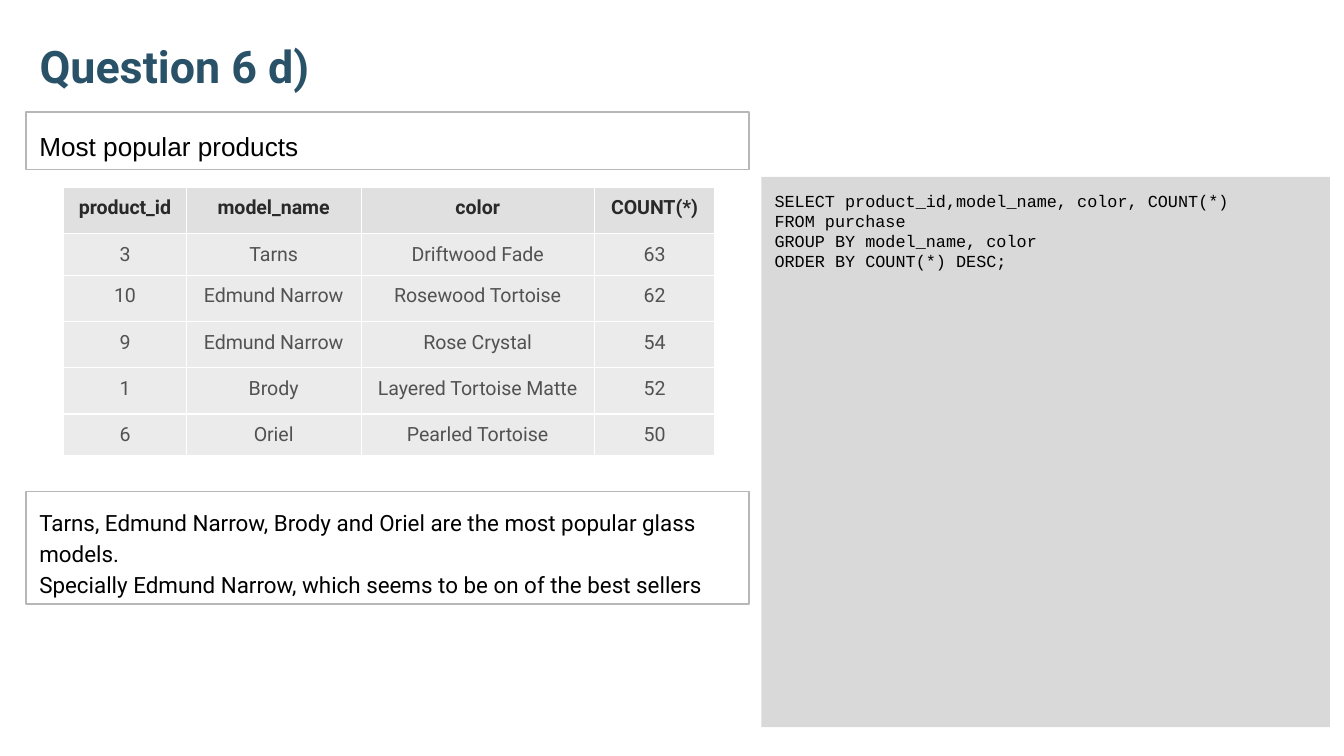
from dataclasses import dataclass
from typing import Any

from lxml import etree
from pptx import Presentation
from pptx.dml.color import RGBColor
from pptx.enum.shapes import MSO_SHAPE
from pptx.enum.text import MSO_ANCHOR, MSO_AUTO_SIZE, PP_ALIGN
from pptx.oxml.ns import qn
from pptx.util import Inches, Pt

RECT = MSO_SHAPE.RECTANGLE
TOP, LOW = MSO_ANCHOR.TOP, MSO_ANCHOR.BOTTOM
LEFT, MID = PP_ALIGN.LEFT, PP_ALIGN.CENTER
FIXED = MSO_AUTO_SIZE.NONE
WIDE = Inches(10)
TALL = WIDE * 9 // 16

HUES = {
    "title": "295269", "code": "D9D9D9", "frame": "B7B7B7", "text": "000000",
    "head": "E0E0E0", "cell": "EBEBEB", "label": "292929", "value": "525252",
    "rule": "FFFFFF",
}


@dataclass
class Area:
    left: float
    top: float
    width: float
    height: float

    def place(self) -> tuple[int, int, int, int]:
        return (across(self.left), down(self.top),
                across(self.width), down(self.height))


@dataclass
class Style:
    font: str
    size: float
    hue: str
    bold: bool = False
    align: Any = LEFT
    space: float = 1.0


@dataclass
class Panel:
    area: Area
    text: str
    style: Style
    fill: str = ""
    line: str = ""


def across(share: float) -> int:
    return round(WIDE * share / 100)


def down(share: float) -> int:
    return round(TALL * share / 100)


def tint(name: str) -> RGBColor:
    return RGBColor.from_string(HUES[name])


def write(frame: Any, text: str, style: Style) -> None:
    frame.text = text
    for para in frame.paragraphs:
        para.alignment = style.align
        para.line_spacing = style.space
        for run in para.runs:
            font = run.font
            font.name, font.size, font.bold = style.font, Pt(style.size), style.bold
            font.color.rgb = tint(style.hue)


def inset(frame: Any, gap: float, anchor: Any) -> None:
    frame.margin_left = frame.margin_right = Inches(gap)
    frame.margin_top = frame.margin_bottom = Inches(gap)
    frame.vertical_anchor = anchor


def draw_title(slide: Any, area: Area, text: str, style: Style) -> None:
    title = slide.shapes.title
    title.left, title.top, title.width, title.height = area.place()
    frame = title.text_frame
    frame.word_wrap = True
    frame.auto_size = FIXED
    inset(frame, 0.1, LOW)
    write(frame, text, style)


def draw_panel(slide: Any, panel: Panel) -> None:
    box = slide.shapes.add_shape(RECT, *panel.area.place())
    box.shadow.inherit = False
    if panel.fill:
        box.fill.solid()
        box.fill.fore_color.rgb = tint(panel.fill)
    else:
        box.fill.background()
    if panel.line:
        box.line.color.rgb = tint(panel.line)
        box.line.width = Pt(0.75)
    else:
        box.line.fill.background()
    box.text_frame.word_wrap = True
    inset(box.text_frame, 0.1, TOP)
    write(box.text_frame, panel.text, panel.style)


def edge(cell: Any) -> None:
    props = cell._tc.get_or_add_tcPr()
    for spot, side in enumerate(("a:lnL", "a:lnR", "a:lnT", "a:lnB")):
        line = etree.Element(qn(side), w=str(Pt(0.75)))
        fill = etree.SubElement(line, qn("a:solidFill"))
        etree.SubElement(fill, qn("a:srgbClr"), val=HUES["rule"])
        props.insert(spot, line)


def draw_table(slide: Any, area: Area, rows: list[tuple[str, ...]],
               spans: list[float], highs: list[float]) -> None:
    grid = slide.shapes.add_table(len(rows), len(spans), *area.place()).table
    for col, span in zip(grid.columns, spans):
        col.width = across(span)
    for row, high in zip(grid.rows, highs):
        row.height = down(high)
    for r, row in enumerate(rows):
        style = VALUE if r else LABEL
        for c, text in enumerate(row):
            cell = grid.cell(r, c)
            cell.fill.solid()
            cell.fill.fore_color.rgb = tint("cell" if r else "head")
            inset(cell, 0.07, TOP)
            write(cell.text_frame, text, style)
            edge(cell)


TITLE = Style("Roboto", 24, "title", bold=True)
CODE = Style("Courier New", 9, "text")
TOPIC = Style("Arial", 14, "text", space=1.15)
NOTE = Style("Roboto", 12, "text", space=1.15)
LABEL = Style("Roboto", 10.5, "label", bold=True, align=MID)
VALUE = Style("Roboto", 10.5, "value", align=MID)

QUERY = """SELECT product_id,model_name, color, COUNT(*)
FROM purchase
GROUP BY model_name, color
ORDER BY COUNT(*) DESC;"""
RESULT = """Tarns, Edmund Narrow, Brody and Oriel are the most popular glass models.
Specially Edmund Narrow, which seems to be on of the best sellers"""

PANELS = [
    Panel(Area(56.65, 23.4, 42.3, 72.8), QUERY, CODE, fill="code"),
    Panel(Area(1.94, 14.8, 53.8, 7.6), "Most popular products", TOPIC, line="frame"),
    Panel(Area(1.94, 65, 53.8, 14.9), RESULT, NOTE, line="frame"),
]
ROWS = [
    ("product_id", "model_name", "color", "COUNT(*)"),
    ("3", "Tarns", "Driftwood Fade", "63"),
    ("10", "Edmund Narrow", "Rosewood Tortoise", "62"),
    ("9", "Edmund Narrow", "Rose Crystal", "54"),
    ("1", "Brody", "Layered Tortoise Matte", "52"),
    ("6", "Oriel", "Pearled Tortoise", "50"),
]
SPANS = [9.1, 13.03, 17.33, 9]
HIGHS = [6.12, 3.9, 6.12, 6.12, 6.12, 3.9]


def main() -> None:
    deck = Presentation()
    deck.slide_width, deck.slide_height = WIDE, TALL
    slide = deck.slides.add_slide(deck.slide_layouts[5])
    draw_title(slide, Area(1.94, 3.9, 93.2, 10.1), "Question 6 d)", TITLE)
    for panel in PANELS:
        draw_panel(slide, panel)
    draw_table(slide, Area(4.75, 24.8, sum(SPANS), sum(HIGHS)), ROWS, SPANS, HIGHS)
    deck.save("out.pptx")


if __name__ == "__main__":
    main()
